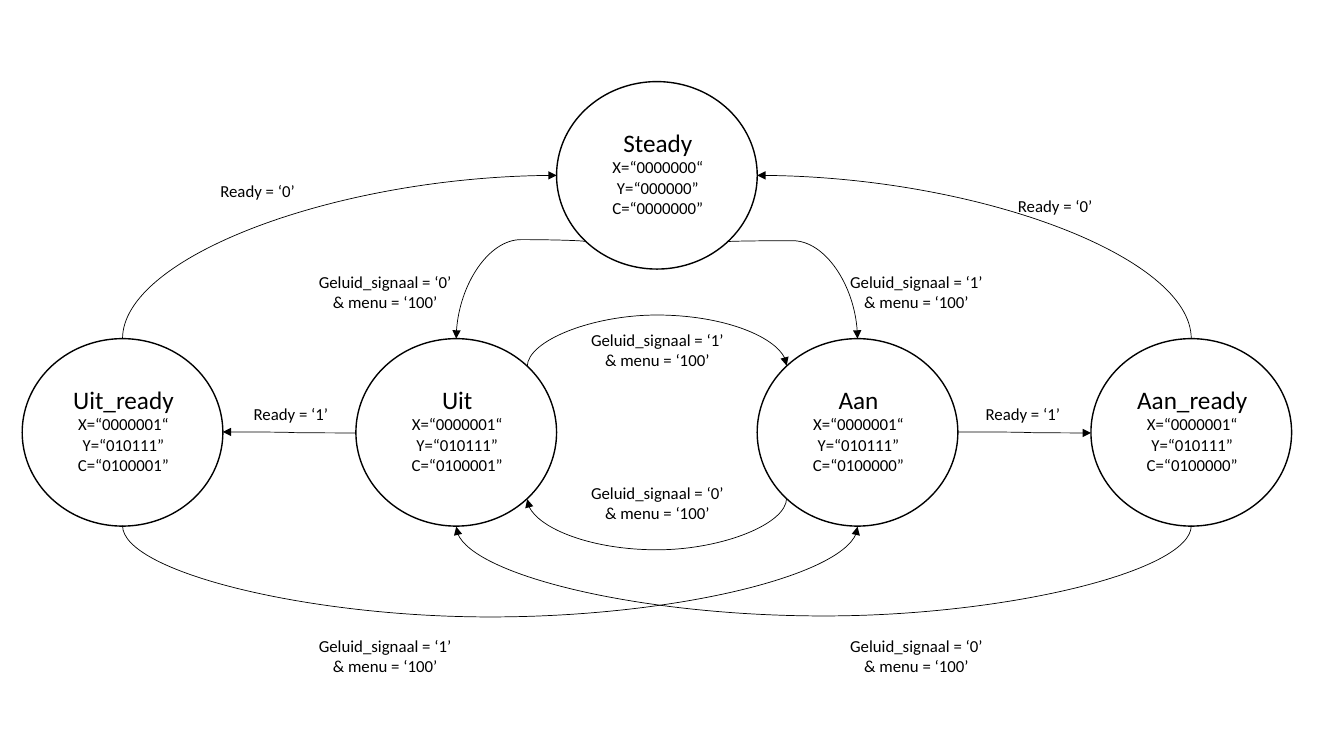
import pptx
import pptx.dml.color
import pptx.enum.shapes
import pptx.enum.text
import pptx.oxml
import pptx.oxml.ns
import pptx.util
from lxml import etree
from pptx.util import Inches

BLACK = "000000"
FONT = "Calibri"
STATE_WIDTH, STATE_HEIGHT = 1.99, 1.86
DIAGONAL = 0.7071
MIN_EXTENT = 0.01

# Ellipse connection sites: index and direction from the centre
SITES = {
    "top": (0, 0, -1),
    "top left": (1, -DIAGONAL, -DIAGONAL),
    "left": (2, -1, 0),
    "bottom left": (3, -DIAGONAL, DIAGONAL),
    "bottom": (4, 0, 1),
    "bottom right": (5, DIAGONAL, DIAGONAL),
    "right": (6, 1, 0),
    "top right": (7, DIAGONAL, -DIAGONAL),
}
# Heading of a connector: rotation and flips
HEADINGS = {
    "down right": (270, "h"),
    "down left": (90, ""),
    "up right": (90, "hv"),
    "up left": (270, "v"),
    "right": (0, ""),
    "left": (180, ""),
}
# Name, left, top, outputs
STATES = [
    ("Steady", 5.52, 0.81, ("0000000", "000000", "0000000")),
    ("Aan", 7.51, 3.36, ("0000001", "010111", "0100000")),
    ("Aan_ready", 10.82, 3.36, ("0000001", "010111", "0100000")),
    ("Uit", 3.53, 3.36, ("0000001", "010111", "0100001")),
    ("Uit_ready", 0.22, 3.36, ("0000001", "010111", "0100001")),
]
# Start, site, end, site, heading, bend distance (None: single or default curve)
TRANSITIONS = [
    ("Steady", "bottom right", "Aan", "top", "down right", -0.01),
    ("Steady", "bottom left", "Uit", "top", "down left", -0.02),
    ("Aan", "bottom left", "Uit", "bottom right", "down left", 0.52),
    ("Aan", "right", "Aan_ready", "left", "right", None),
    ("Aan_ready", "bottom", "Uit", "bottom", "down left", 0.91),
    ("Aan_ready", "top", "Steady", "right", "up left", None),
    ("Uit", "top right", "Aan", "top left", "up right", 0.52),
    ("Uit", "left", "Uit_ready", "right", "left", None),
    ("Uit_ready", "top", "Steady", "left", "up right", None),
    ("Uit_ready", "bottom", "Aan", "bottom", "down right", 0.92),
]
# Value of the sound signal, left, top
SIGNAL_LABELS = [
    (1, 8.27, 2.65), (0, 3, 2.65), (1, 5.7, 3.22),
    (0, 5.7, 4.74), (0, 8.27, 6.26), (1, 3, 6.26),
]
# Value of ready, left, top
READY_LABELS = [(1, 9.5, 3.96), (1, 2.24, 3.96), (0, 9.82, 1.89), (0, 1.91, 1.74)]


def color(value):
    """Turn a hex string into a colour."""
    return pptx.dml.color.RGBColor.from_string(value)


def add_label(slide, text, left, top, width, height, first_size=12):
    """Place centred text; the first paragraph may be larger."""
    box = slide.shapes.add_textbox(
        Inches(left), Inches(top), Inches(width), Inches(height))
    box.text_frame.word_wrap = True
    box.text_frame.text = text
    for index, paragraph in enumerate(box.text_frame.paragraphs):
        paragraph.alignment = pptx.enum.text.PP_ALIGN.CENTER
        for run in paragraph.runs:
            run.font.name = FONT
            run.font.size = pptx.util.Pt(12 if index else first_size)
            run.font.color.rgb = color(BLACK)


def add_state(slide, name, left, top, outputs):
    """Draw a state circle with its name and output values."""
    shape = slide.shapes.add_shape(
        pptx.enum.shapes.MSO_SHAPE.OVAL,
        Inches(left), Inches(top), Inches(STATE_WIDTH), Inches(STATE_HEIGHT))
    shape.shadow.inherit = False
    shape.fill.background()
    shape.line.color.rgb = color(BLACK)
    shape.line.width = pptx.util.Pt(1)
    x, y, c = outputs
    add_label(slide, f"{name}\nX=“{x}“\nY=“{y}”\nC=“{c}”",
              left + 0.34, top + 0.4, 1.33, 1.01, 18)
    return shape


def site_point(shape, site):
    """Return the position of a connection site in inches."""
    _, across, down = SITES[site]
    return (shape.left.inches + STATE_WIDTH / 2 * (1 + across),
            shape.top.inches + STATE_HEIGHT / 2 * (1 + down))


def glue(connector, tag, shape, site):
    """Attach one end of a connector to a state."""
    properties = connector.element.find(".//" + pptx.oxml.ns.qn("p:cNvCxnSpPr"))
    etree.SubElement(properties, pptx.oxml.ns.qn(tag),
                     id=str(shape.shape_id), idx=str(SITES[site][0]))


def add_transition(slide, start, start_site, end, end_site, heading, bend):
    """Draw a curved arrow between two states."""
    x1, y1 = site_point(start, start_site)
    x2, y2 = site_point(end, end_site)
    rotation, flips = HEADINGS[heading]
    width = max(abs(x2 - x1), MIN_EXTENT)
    height = max(abs(y2 - y1), MIN_EXTENT)
    if rotation in (90, 270):
        width, height = height, width
    connector = slide.shapes.add_connector(
        pptx.enum.shapes.MSO_CONNECTOR.CURVE, 0, 0, 0, 0)
    connector.left = Inches((x1 + x2 - width) / 2)
    connector.top = Inches((y1 + y2 - height) / 2)
    connector.width, connector.height = Inches(width), Inches(height)
    connector.line.color.rgb = color(BLACK)
    connector.line.width = pptx.util.Pt(0.5)
    glue(connector, "a:stCxn", start, start_site)
    glue(connector, "a:endCxn", end, end_site)

    qn = pptx.oxml.ns.qn
    properties = connector.element.spPr
    transform = properties.find(qn("a:xfrm"))
    transform.set("rot", str(rotation * 60000))
    for flip in flips:
        transform.set("flip" + flip.upper(), "1")
    geometry = properties.find(qn("a:prstGeom"))
    if bend is not None:
        guides = geometry.find(qn("a:avLst"))
        if guides is None:
            guides = etree.SubElement(geometry, qn("a:avLst"))
        etree.SubElement(guides, qn("a:gd"), name="adj1",
                         fmla=f"val {round(bend / width * 100000)}")
    elif heading.startswith("up"):
        geometry.set("prst", "curvedConnector2")
    line = properties.find(qn("a:ln"))
    etree.SubElement(line, qn("a:tailEnd"), type="triangle")
    etree.SubElement(properties, qn("a:effectLst"))


def main():
    """Build the state diagram slide."""
    presentation = pptx.Presentation()
    presentation.slide_width = Inches(13.33)
    presentation.slide_height = Inches(7.5)
    slide = presentation.slides.add_slide(presentation.slide_layouts[6])
    states = {state[0]: add_state(slide, *state) for state in STATES}
    for start, start_site, end, end_site, heading, bend in TRANSITIONS:
        add_transition(slide, states[start], start_site,
                       states[end], end_site, heading, bend)
    for value, left, top in SIGNAL_LABELS:
        add_label(slide, f"Geluid_signaal = ‘{value}’ & menu = ‘100’",
                  left, top, 1.64, 0.5)
    for value, left, top in READY_LABELS:
        add_label(slide, f"Ready = ‘{value}’", left, top, 1.29, 0.3)
    presentation.save("out.pptx")


main()
